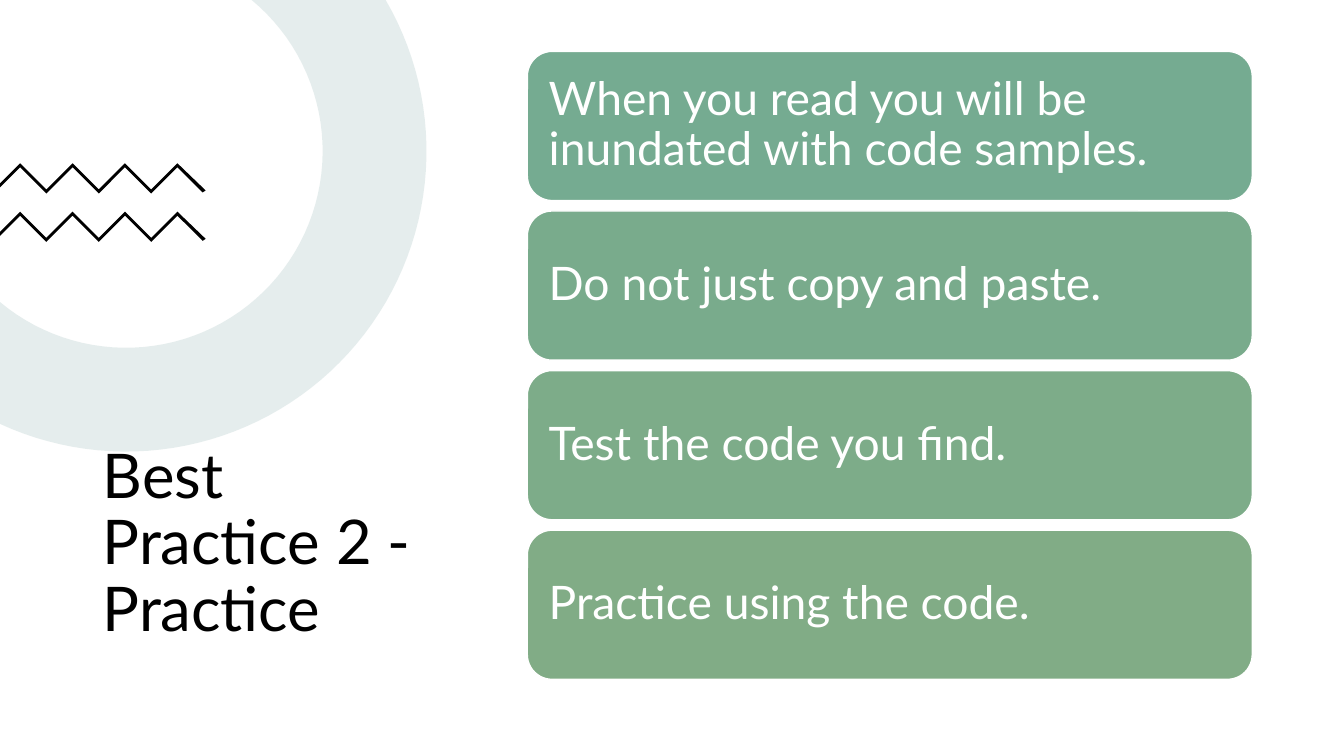
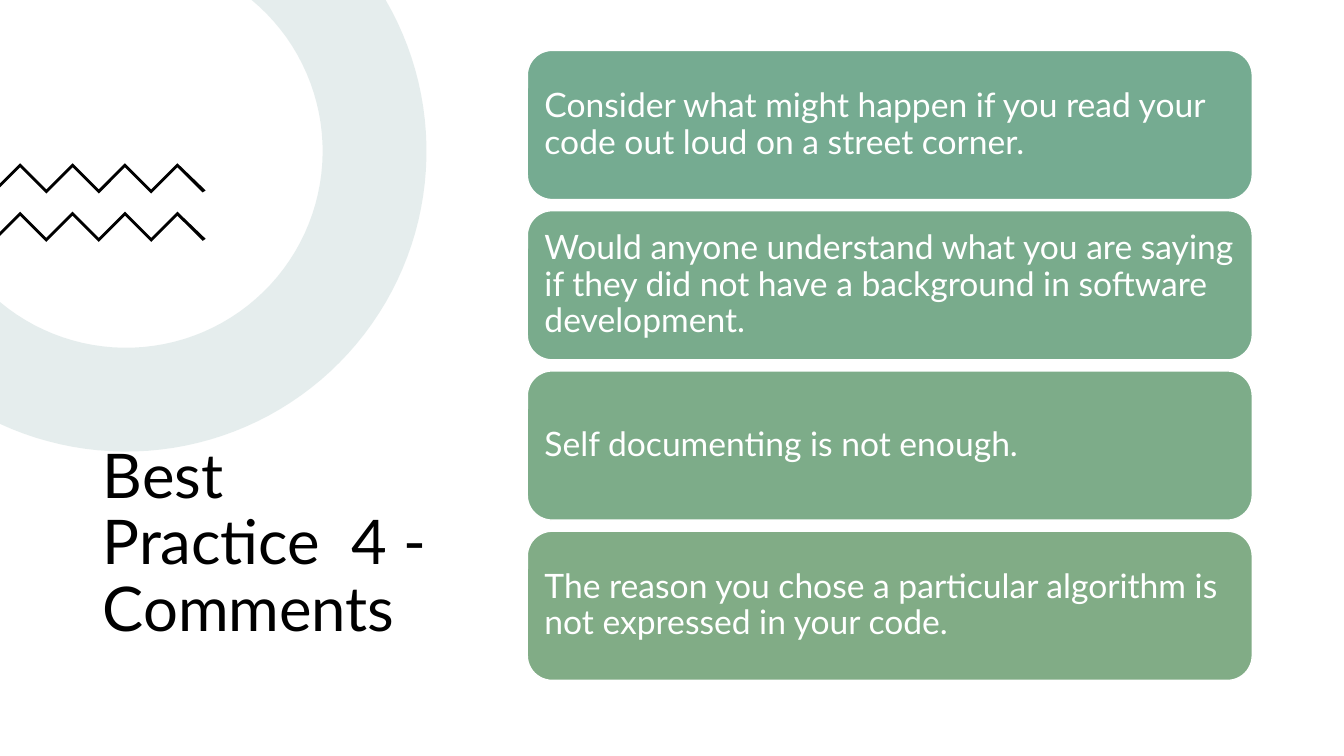
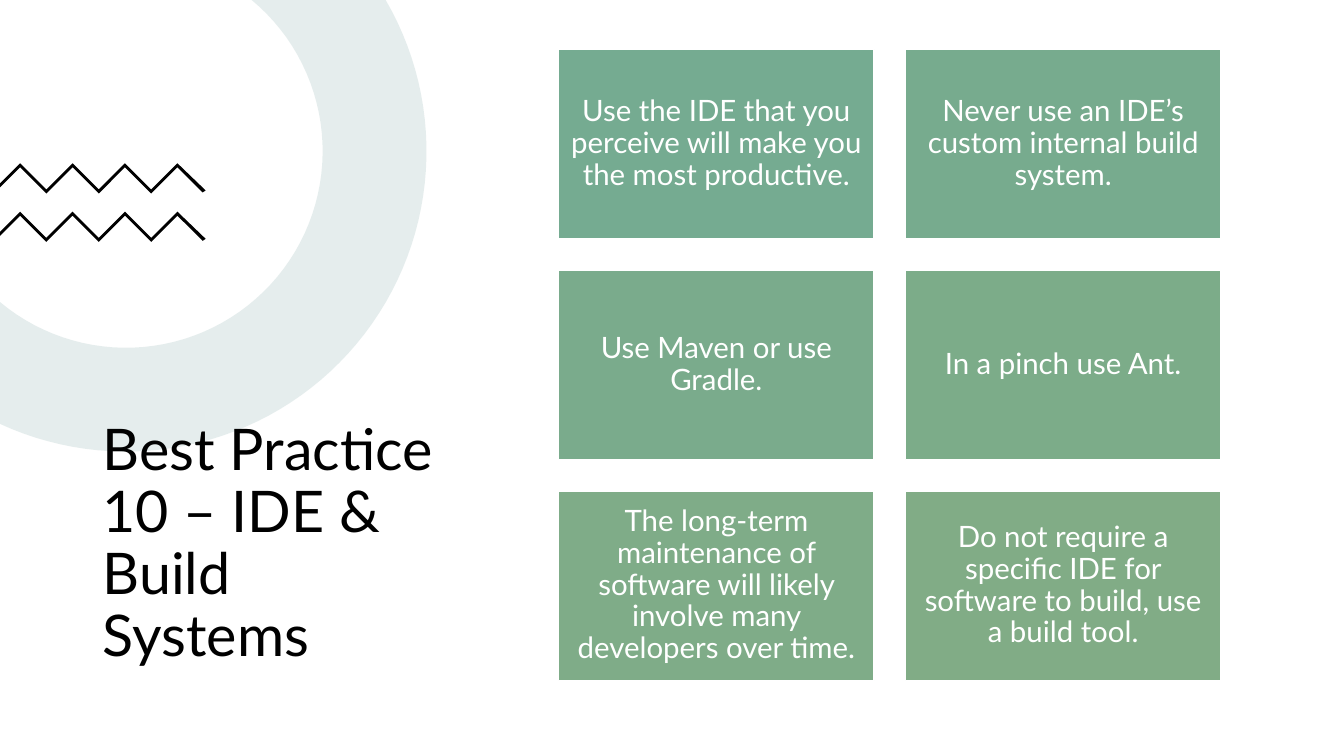
from math import acos, asin, cos, pi, sin

from lxml.etree import SubElement
from pptx import Presentation
from pptx.dml.color import RGBColor
from pptx.enum.shapes import MSO_SHAPE
from pptx.enum.text import MSO_ANCHOR, PP_ALIGN
from pptx.oxml.ns import qn
from pptx.util import Inches, Pt

FONT = "Lato"
WHITE, BLACK, RING_TEAL = "FFFFFF", "000000", "80A9A7"
FOUR_GREENS = ["75AB91", "79AB8C", "7DAC89", "81AC86"]
SIX_GREENS = ["75AB91", "77AB8E", "7AAB8C", "7CAC89", "7FAC88", "81AC86"]

# Ring cut off by the top and left slide edges
CENTER_X, CENTER_Y = 1.25, 1.5
OUTER_RADIUS, INNER_RADIUS = 2.98, 1.95
ARC_STEPS = 60

ring_points = []
for radius, clockwise in ((OUTER_RADIUS, True), (INNER_RADIUS, False)):
    top_angle = asin(-CENTER_Y / radius)
    left_angle = acos(-CENTER_X / radius)
    arc = []
    for step in range(ARC_STEPS + 1):
        angle = top_angle + (left_angle - top_angle) * step / ARC_STEPS
        arc.append((CENTER_X + radius * cos(angle), CENTER_Y + radius * sin(angle)))
    ring_points += arc if clockwise else arc[::-1]

# Zigzag band, measured from its own top
zigzag_turns = [(0.2 + 0.26 * i, 0.26 * (i % 2)) for i in range(7)]
upper_edge = [(0, 0.2)] + zigzag_turns + [(2.04, 0.27)]
lower_edge = [(0, 0.24)] + [(x, y + 0.04) for x, y in zigzag_turns] + [(2.01, 0.29)]
zigzag_points = upper_edge + lower_edge[::-1]
ZIGZAG_TOPS = (1.62, 2.1)

rounded_cards = dict(
    form=MSO_SHAPE.ROUNDED_RECTANGLE, align=PP_ALIGN.LEFT, greens=FOUR_GREENS,
    columns=1, left=5.23, width=7.19, height=1.48,
)
square_cards = dict(
    form=MSO_SHAPE.RECTANGLE, align=PP_ALIGN.CENTER, greens=SIX_GREENS,
    columns=2, left=5.54, width=3.13, height=1.88,
)
COLUMN_PITCH = 3.44

practices = [
    dict(
        rounded_cards, title="Best Practice 2 - Practice", title_size=44,
        first_top=0.51, last_top=5.26, size=33, inset=0.14,
        advice=[
            "When you read you will be inundated with code samples.",
            "Do not just copy and paste.",
            "Test the code you find.",
            "Practice using the code.",
        ],
    ),
    dict(
        rounded_cards, title="Best Practice  4 - Comments", title_size=44,
        first_top=0.5, last_top=5.27, size=24, inset=0.1,
        advice=[
            "Consider what might happen if you read your code out loud on a street corner.",
            "Would anyone understand what you are saying if they did not have a background "
            "in software development.",
            "Self documenting is not enough.",
            "The reason you chose a particular algorithm is not expressed in your code.",
        ],
    ),
    dict(
        square_cards, title="Best Practice 10 – IDE & Build Systems", title_size=41,
        first_top=0.49, last_top=4.87, size=21, inset=0.09,
        advice=[
            "Use the IDE that you perceive will make you the most productive.",
            "Never use an IDE’s custom internal build system.",
            "Use Maven or use Gradle.",
            "In a pinch use Ant.",
            "The long-term maintenance of software will likely involve many developers "
            "over time.",
            "Do not require a specific IDE for software to build, use a build tool.",
        ],
    ),
]


def add_outline(slide, points, color, top=0):
    """Draw a closed, filled outline through points given in inches."""
    corners = [(Inches(x), Inches(top + y)) for x, y in points]
    builder = slide.shapes.build_freeform(*corners[0])
    builder.add_line_segments(corners[1:], close=True)
    outline = builder.convert_to_shape()
    outline.shadow.inherit = False
    outline.fill.solid()
    outline.fill.fore_color.rgb = RGBColor.from_string(color)
    outline.line.fill.background()
    return outline


def write(shape, text, size, color, align, inset_x, inset_y):
    frame = shape.text_frame
    frame.word_wrap = True
    frame.vertical_anchor = MSO_ANCHOR.MIDDLE
    frame.margin_left = frame.margin_right = Inches(inset_x)
    frame.margin_top = frame.margin_bottom = Inches(inset_y)
    frame.text = text
    paragraph = frame.paragraphs[0]
    paragraph.alignment = align
    paragraph.line_spacing = 0.9
    font = paragraph.runs[0].font
    font.name = FONT
    font.size = Pt(size)
    font.color.rgb = RGBColor.from_string(color)


prs = Presentation()
prs.slide_width, prs.slide_height = Inches(13.33), Inches(7.5)
blank = prs.slide_layouts[6]

for practice in practices:
    slide = prs.slides.add_slide(blank)

    ring = add_outline(slide, ring_points, RING_TEAL)
    ring_color = ring.fill._xPr.find(qn("a:solidFill"))[0]
    SubElement(ring_color, qn("a:alpha"), val="20000")

    title = slide.shapes.add_textbox(Inches(0.92), Inches(4.05), Inches(3.5), Inches(2.71))
    write(title, practice["title"], practice["title_size"], BLACK, PP_ALIGN.LEFT, 0.1, 0.05)

    for zigzag_top in ZIGZAG_TOPS:
        add_outline(slide, zigzag_points, BLACK, zigzag_top)

    columns = practice["columns"]
    rows = len(practice["advice"]) // columns
    row_pitch = (practice["last_top"] - practice["first_top"]) / (rows - 1)
    for i, (advice, green) in enumerate(zip(practice["advice"], practice["greens"])):
        row, column = divmod(i, columns)
        card = slide.shapes.add_shape(
            practice["form"],
            Inches(practice["left"] + column * COLUMN_PITCH),
            Inches(practice["first_top"] + row * row_pitch),
            Inches(practice["width"]),
            Inches(practice["height"]),
        )
        card.shadow.inherit = False
        card.fill.solid()
        card.fill.fore_color.rgb = RGBColor.from_string(green)
        card.line.color.rgb = RGBColor.from_string(WHITE)
        card.line.width = Pt(1)
        inset = practice["inset"]
        write(card, advice, practice["size"], WHITE, practice["align"], inset, inset)

prs.save("out.pptx")
